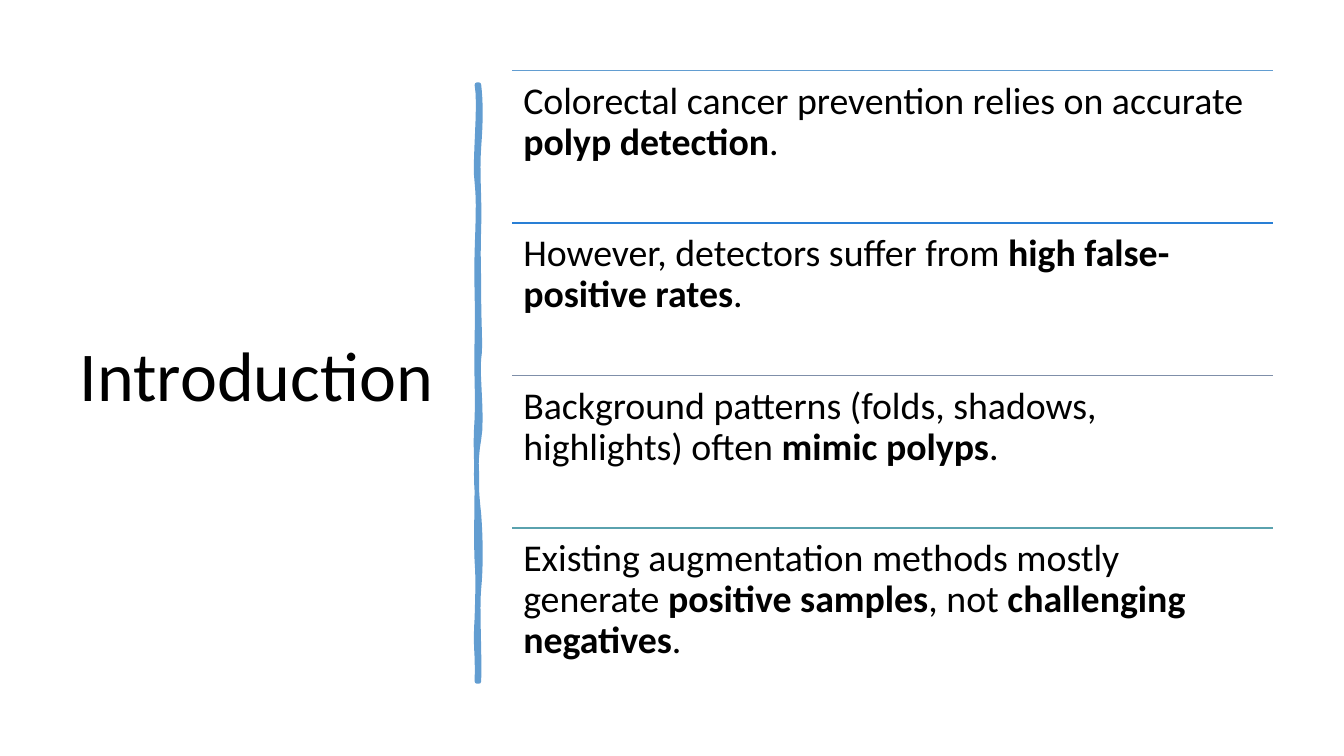
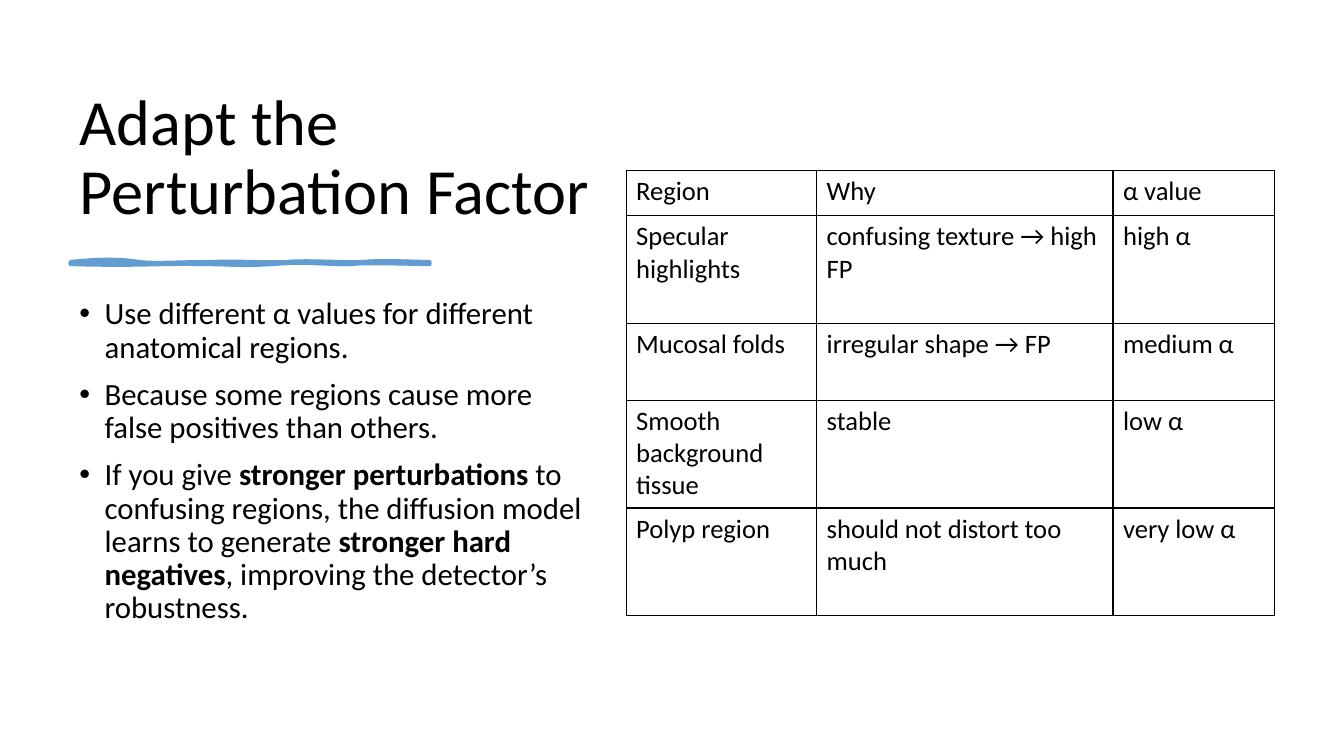
from dataclasses import dataclass

from lxml import etree
from pptx import Presentation
from pptx.dml.color import RGBColor
from pptx.enum.shapes import MSO_CONNECTOR
from pptx.enum.text import MSO_ANCHOR, MSO_AUTO_SIZE, PP_ALIGN
from pptx.oxml.ns import qn
from pptx.util import Inches, Pt

TOP, MIDDLE, BOTTOM = MSO_ANCHOR.TOP, MSO_ANCHOR.MIDDLE, MSO_ANCHOR.BOTTOM
LEFT = PP_ALIGN.LEFT
STRAIGHT = MSO_CONNECTOR.STRAIGHT
NO_FIT = MSO_AUTO_SIZE.NONE
TITLE_ONLY = 5


@dataclass(frozen=True)
class Theme:
    font: str = "Calibri"
    ink: str = "000000"
    accent: str = "629DD1"
    intro_title: float = 50
    table_title: float = 46
    statement: float = 27
    bullet: float = 22
    cell: float = 19
    rule: float = 1


THEME = Theme()

INTRO_TITLE = "Introduction"
STATEMENTS = [
    ("Colorectal cancer prevention relies on accurate **polyp detection**.", "629DD1"),
    ("However, detectors suffer from **high false-positive rates**.", "297FD5"),
    ("Background patterns (folds, shadows, highlights) often **mimic polyps**.", "7F8FA9"),
    ("Existing augmentation methods mostly generate **positive samples**, "
     "not **challenging negatives**.", "5AA2AE"),
]

FACTOR_TITLE = "Adapt the Perturbation Factor"
BULLETS = [
    "Use different α values for different anatomical regions.",
    "Because some regions cause more false positives than others.",
    "If you give **stronger perturbations** to confusing regions, the diffusion model "
    "learns to generate **stronger hard negatives**, improving the detector’s robustness.",
]
REGIONS = [
    ("Region", "Why", "α value"),
    ("Specular highlights", "confusing texture → high FP", "high α"),
    ("Mucosal folds", "irregular shape → FP", "medium α"),
    ("Smooth background tissue", "stable", "low α"),
    ("Polyp region", "should not distort too much", "very low α"),
]
COLUMN_WIDTHS = [1.89, 2.94, 1.6]
ROW_HEIGHTS = [0.45, 1.07, 0.76, 1.07, 1.07]

# Each curve: control along, wobble, control along, wobble, end along.
# Wobble is in hundredths of an inch from the edge.
TALL_BRUSH = dict(start=0.84, vertical=True, width=3.25, edges=[
    (4.75, [(1.02, 2, 1.19, 2, 1.46), (1.73, -2, 1.95, 1, 2.26),
            (2.57, -1, 2.62, 0, 2.94), (3.25, 0, 3.42, 2, 3.56),
            (3.7, -2, 4.14, 4, 4.36), (4.57, -4, 4.84, -3, 5.1),
            (5.36, 2, 5.64, 2, 5.84), (6.03, -2, 6.5, 1, 6.76)]),
    (4.73, [(6.46, 1, 6.44, -2, 6.13), (5.83, 1, 5.7, 1, 5.57),
            (5.44, -1, 4.95, 0, 4.77), (4.59, 0, 4.45, -2, 4.15),
            (3.86, 1, 3.73, -1, 3.35), (2.98, 1, 2.81, -1, 2.5),
            (2.18, 1, 2, 2, 1.81), (1.63, -3, 1.04, 4, 0.84)]),
])
WIDE_BRUSH = dict(start=0.7, vertical=False, width=3, edges=[
    (2.6, [(0.97, -3, 1.21, -3, 1.38), (1.55, 2, 1.77, 0, 2.09),
           (2.41, -1, 2.6, 1, 2.84), (3.08, -2, 3.39, 1, 3.59),
           (3.79, -2, 4.12, 0, 4.26)]),
    (2.62, [(4.08, 0, 3.64, -2, 3.48), (3.32, 1, 3.04, -3, 2.7),
            (2.35, 2, 2.31, 0, 1.99), (1.66, -1, 1.32, 2, 0.7)]),
])


def color(value):
    return RGBColor.from_string(value)


def write(frame, texts, size, anchor=TOP, inset=(0.1, 0.05), spacing=None,
          before=0, bullet=False):
    frame.word_wrap = True
    frame.auto_size = NO_FIT
    frame.vertical_anchor = anchor
    frame.margin_left = frame.margin_right = Inches(inset[0])
    frame.margin_top = frame.margin_bottom = Inches(inset[1])
    for index, text in enumerate(texts):
        para = frame.add_paragraph() if index else frame.paragraphs[0]
        para.alignment = LEFT
        para.space_before = Pt(before)
        if spacing:
            para.line_spacing = spacing
        if bullet:
            props = para._p.get_or_add_pPr()
            props.set("marL", str(Inches(0.25)))
            props.set("indent", str(-Inches(0.25)))
            etree.SubElement(props, qn("a:buFont")).set("typeface", "Arial")
            etree.SubElement(props, qn("a:buChar")).set("char", "•")
        for part, piece in enumerate(text.split("**")):
            span = para.add_run()
            span.text = piece
            span.font.name = THEME.font
            span.font.size = Pt(size)
            span.font.bold = part % 2 == 1
            span.font.color.rgb = color(THEME.ink)


def add_page(deck, title, box, size, anchor):
    page = deck.slides.add_slide(deck.slide_layouts[TITLE_ONLY])
    holder = page.shapes.title
    holder.left, holder.top, holder.width, holder.height = map(Inches, box)
    write(holder.text_frame, [title], size, anchor=anchor, spacing=0.9)
    return page


def add_text(page, box, texts, size, **format):
    shape = page.shapes.add_textbox(*map(Inches, box))
    write(shape.text_frame, texts, size, spacing=0.9, **format)


def add_rule(page, left, right, top, value):
    rule = page.shapes.add_connector(
        STRAIGHT, Inches(left), Inches(top), Inches(right), Inches(top))
    rule.line.color.rgb = color(value)
    rule.line.width = Pt(THEME.rule)
    etree.SubElement(rule._element.spPr, qn("a:effectLst"))


def add_brush(page, start, vertical, width, edges, steps=8):
    points = []
    along = start
    for edge, curves in edges:
        points.append((along, edge))
        for first, rise, second, fall, end in curves:
            for step in range(1, steps + 1):
                t = step / steps
                near, far = 3 * t * (1 - t) ** 2, 3 * t ** 2 * (1 - t)
                place = along * (1 - t) ** 3 + first * near + second * far + end * t ** 3
                points.append((place, edge + (rise * near + fall * far) / 100))
            along = end
    if vertical:
        points = [(across, place) for place, across in points]
    points = [(Inches(x), Inches(y)) for x, y in points]
    builder = page.shapes.build_freeform(*points[0])
    builder.add_line_segments(points[1:], close=True)
    brush = builder.convert_to_shape()
    brush.shadow.inherit = False
    brush.fill.solid()
    brush.fill.fore_color.rgb = color(THEME.accent)
    brush.line.color.rgb = color(THEME.accent)
    brush.line.width = Pt(width)
    etree.SubElement(brush.line._get_or_add_ln(), qn("a:round"))


def add_borders(cell):
    props = cell._tc.get_or_add_tcPr()
    for side in ("a:lnL", "a:lnR", "a:lnT", "a:lnB"):
        line = etree.SubElement(props, qn(side), w=str(Pt(THEME.rule)))
        fill = etree.SubElement(line, qn("a:solidFill"))
        etree.SubElement(fill, qn("a:srgbClr"), val=THEME.ink)


def add_regions(page, left, top):
    table = page.shapes.add_table(
        len(REGIONS), len(COLUMN_WIDTHS), Inches(left), Inches(top),
        Inches(sum(COLUMN_WIDTHS)), Inches(sum(ROW_HEIGHTS))).table
    table.first_row = table.horz_banding = False
    for column, width in zip(table.columns, COLUMN_WIDTHS):
        column.width = Inches(width)
    for row, height, texts in zip(table.rows, ROW_HEIGHTS, REGIONS):
        row.height = Inches(height)
        for cell, text in zip(row.cells, texts):
            add_borders(cell)
            cell.fill.background()
            cell.margin_left = cell.margin_right = Inches(0.1)
            cell.margin_top = cell.margin_bottom = Inches(0.05)
            para = cell.text_frame.paragraphs[0]
            span = para.add_run()
            span.text = text
            span.font.name = THEME.font
            span.font.size = Pt(THEME.cell)
            span.font.color.rgb = color(THEME.ink)


def build_introduction(deck):
    page = add_page(deck, INTRO_TITLE, (0.69, 0.7, 3.74, 6.11), THEME.intro_title, MIDDLE)
    add_brush(page, **TALL_BRUSH)
    left, top, width, height = 5.08, 0.7, 7.55, 6.05
    pitch = height / len(STATEMENTS)
    for index, (text, value) in enumerate(STATEMENTS):
        y = top + index * pitch
        add_rule(page, left, left + width, y, value)
        add_text(page, (left, y, width, pitch), [text], THEME.statement, inset=(0.11, 0.11))


def build_factor(deck):
    page = add_page(deck, FACTOR_TITLE, (0.69, 0.7, 5.27, 1.62), THEME.table_title, BOTTOM)
    add_brush(page, **WIDE_BRUSH)
    add_text(page, (0.69, 2.91, 5.27, 3.88), BULLETS, THEME.bullet, before=10, bullet=True)
    add_regions(page, 6.21, 1.69)


def main():
    deck = Presentation()
    deck.slide_width, deck.slide_height = Inches(13.33), Inches(7.5)
    build_introduction(deck)
    build_factor(deck)
    deck.save("out.pptx")


if __name__ == "__main__":
    main()
